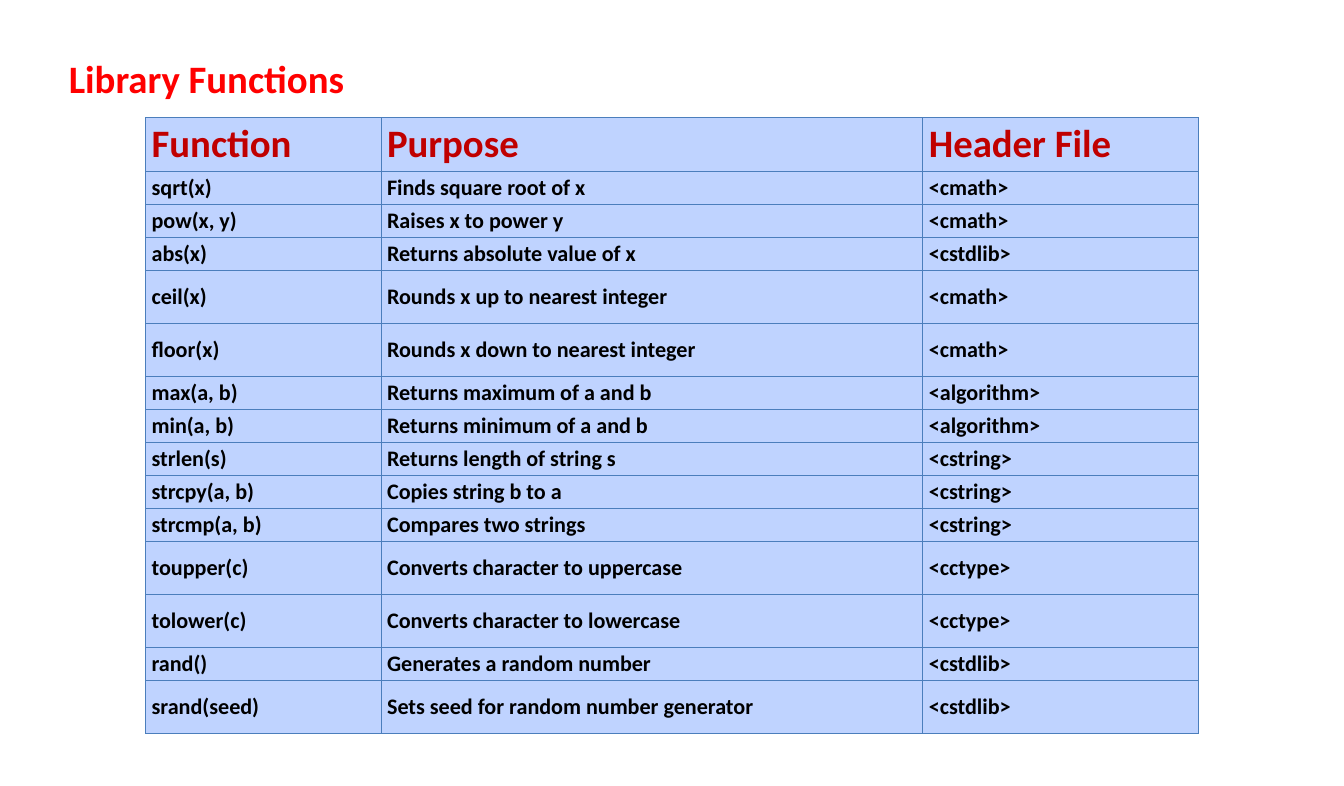
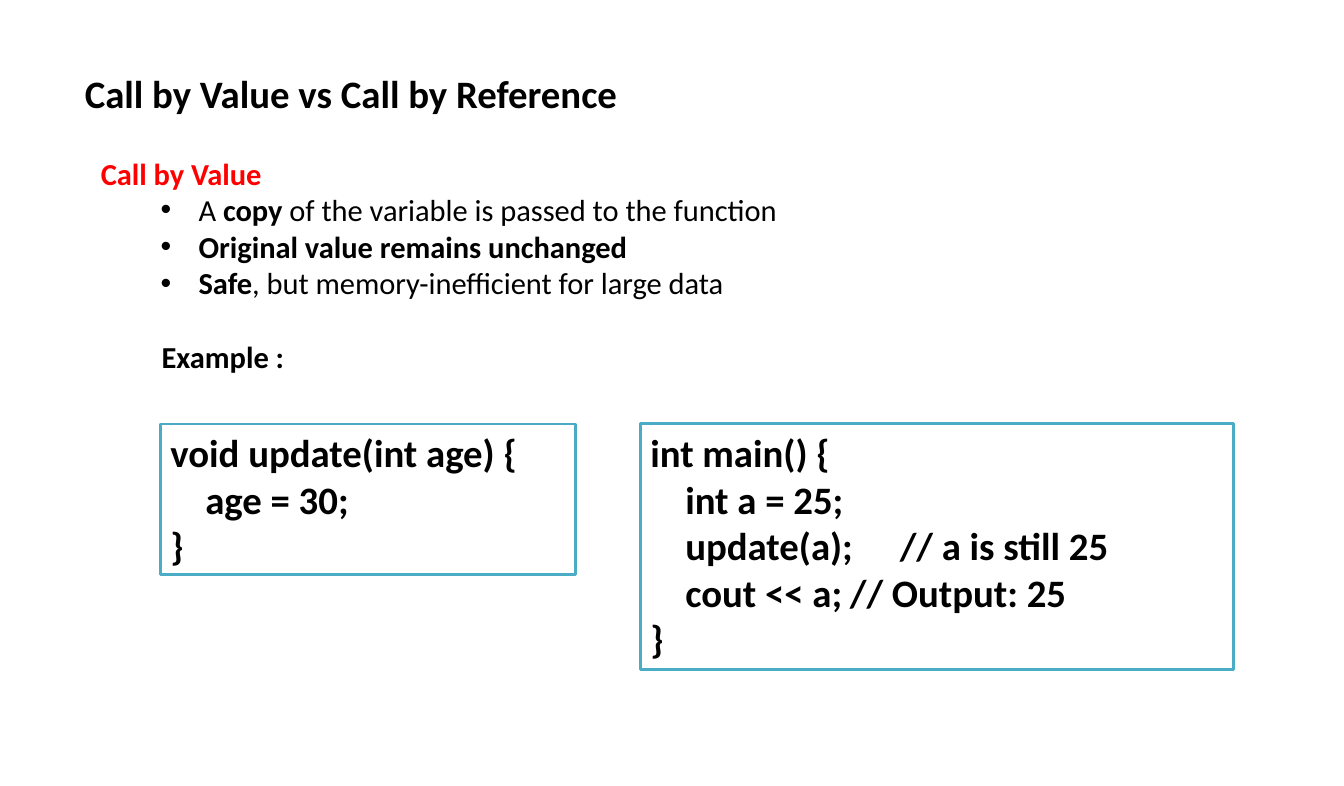
from lxml.etree import SubElement
from pptx import Presentation
from pptx.dml.color import RGBColor
from pptx.enum.shapes import MSO_SHAPE
from pptx.enum.text import MSO_ANCHOR, MSO_AUTO_SIZE, PP_ALIGN
from pptx.oxml import parse_xml
from pptx.oxml.ns import nsdecls, qn
from pptx.util import Emu, Pt

PX = 9144  # EMU per px, 100 px to the inch
BLACK = RGBColor(0x00, 0x00, 0x00)
WHITE = RGBColor(0xFF, 0xFF, 0xFF)
RED = RGBColor(0xFF, 0x00, 0x00)
DARK_RED = RGBColor(0xC0, 0x00, 0x00)
CELL_BLUE = RGBColor(0xBF, 0xD3, 0xFF)
BORDER_BLUE = RGBColor(0x4B, 0x7E, 0xBC)
TEAL = RGBColor(0x4B, 0xAC, 0xC6)

TITLE_ONLY, TITLE_AND_BODY = 5, 1
SHORT_ROW, TALL_ROW = 33, 53
COLUMN_WIDTHS = (236, 543, 276)
FUNCTIONS = [
    ("Function", "Purpose", "Header File"),
    ("sqrt(x)", "Finds square root of x", "<cmath>"),
    ("pow(x, y)", "Raises x to power y", "<cmath>"),
    ("abs(x)", "Returns absolute value of x", "<cstdlib>"),
    ("ceil(x)", "Rounds x up to nearest integer", "<cmath>"),
    ("floor(x)", "Rounds x down to nearest integer", "<cmath>"),
    ("max(a, b)", "Returns maximum of a and b", "<algorithm>"),
    ("min(a, b)", "Returns minimum of a and b", "<algorithm>"),
    ("strlen(s)", "Returns length of string s", "<cstring>"),
    ("strcpy(a, b)", "Copies string b to a", "<cstring>"),
    ("strcmp(a, b)", "Compares two strings", "<cstring>"),
    ("toupper(c)", "Converts character to uppercase", "<cctype>"),
    ("tolower(c)", "Converts character to lowercase", "<cctype>"),
    ("rand()", "Generates a random number", "<cstdlib>"),
    ("srand(seed)", "Sets seed for random number generator", "<cstdlib>"),
]
TALL_ROWS = {0, 4, 5, 11, 12, 14}

# Each point is a list of (text, bold) runs.
POINTS = [
    [("A ", False), ("copy", True), (" of the variable is passed to the function", False)],
    [("Original value remains unchanged", True)],
    [("Safe", True), (", but memory-inefficient for large data", False)],
]
# Each line of code is text, then the position of its tab stop if it has one.
UPDATE_CODE = [("void update(int age) {", None), ("age = 30;", None), ("}", None)]
MAIN_CODE = [
    ("int main() {", None),
    ("int a = 25;", None),
    ("update(a);\t// a is still 25", 265),
    ("cout << a;\t// Output: 25", 254),
    ("}", None),
]


def px(length):
    return Emu(length * PX)


def apply(target, values):
    for name, value in values.items():
        setattr(target, name, value)


def place(shape, left, top, width, height):
    apply(shape, {"left": px(left), "top": px(top), "width": px(width), "height": px(height)})


class Deck:
    font_name = "Calibri"
    large, medium, small = Pt(28), Pt(22), Pt(16)
    frame_format = {
        "word_wrap": True,
        "auto_size": MSO_AUTO_SIZE.NONE,
        "vertical_anchor": MSO_ANCHOR.TOP,
    }
    cell_format = {
        "margin_left": px(6),
        "margin_right": px(6),
        "margin_top": px(3),
        "margin_bottom": px(3),
        "vertical_anchor": MSO_ANCHOR.MIDDLE,
    }

    def __init__(self, width, height):
        self.presentation = Presentation()
        apply(self.presentation, {"slide_width": px(width), "slide_height": px(height)})
        self.slide = None

    def add_slide(self, layout, title, color, box):
        self.slide = self.presentation.slides.add_slide(self.presentation.slide_layouts[layout])
        shape = self.slide.shapes.title
        place(shape, *box)
        apply(shape.text_frame, self.frame_format)
        self.add_text(shape.text_frame.paragraphs[0], [(title, True)], self.large, color)

    def add_text(self, paragraph, runs, size, color=BLACK, margin=0, indent=0, space=0):
        apply(paragraph, {"alignment": PP_ALIGN.LEFT, "space_before": Pt(space)})
        properties = paragraph._p.get_or_add_pPr()
        properties.set("marL", str(px(margin)))
        properties.set("indent", str(px(indent)))
        for text, bold in runs:
            run = paragraph.add_run()
            run.text = text
            apply(run.font, {"name": self.font_name, "size": size, "bold": bold})
            run.font.color.rgb = color

    def set_bullet(self, paragraph, character=None):
        properties = paragraph._p.get_or_add_pPr()
        if character:
            SubElement(properties, qn("a:buFont")).set("typeface", "Arial")
            SubElement(properties, qn("a:buChar")).set("char", character)
        else:
            SubElement(properties, qn("a:buNone"))

    def add_body(self, heading, points, closing, box):
        """Fill the body placeholder with a heading, bullets and a closing line."""
        shape = self.slide.placeholders[1]
        place(shape, *box)
        frame = shape.text_frame
        apply(frame, self.frame_format)
        paragraph = frame.paragraphs[0]
        self.add_text(paragraph, [(heading, True)], self.medium, RED)
        self.set_bullet(paragraph)
        for runs in points:
            paragraph = frame.add_paragraph()
            paragraph.level = 1
            self.add_text(paragraph, runs, self.medium, margin=98, indent=-38)
            self.set_bullet(paragraph, "•")
        paragraph = frame.add_paragraph()
        paragraph.level = 1
        self.add_text(paragraph, [(closing, True)], self.medium, margin=61, space=27)
        self.set_bullet(paragraph)

    def add_code(self, lines, box):
        """Draw a framed listing; all lines but the first and last are indented."""
        shape = self.slide.shapes.add_shape(MSO_SHAPE.RECTANGLE, *map(px, box))
        shape.shadow.inherit = False
        shape.fill.solid()
        shape.fill.fore_color.rgb = WHITE
        shape.line.color.rgb = TEAL
        shape.line.width = Pt(2)
        frame = shape.text_frame
        apply(frame, self.frame_format)
        for number, (text, tab) in enumerate(lines):
            paragraph = frame.add_paragraph() if number else frame.paragraphs[0]
            indent = 35 if 0 < number < len(lines) - 1 else 0
            self.add_text(paragraph, [(text, True)], self.large, indent=indent)
            if tab:
                stops = SubElement(paragraph._p.get_or_add_pPr(), qn("a:tabLst"))
                stop = SubElement(stops, qn("a:tab"))
                stop.set("pos", str(px(tab)))
                stop.set("algn", "l")

    def add_table(self, rows, widths, heights, left, top):
        box = (left, top, sum(widths), sum(heights))
        table = self.slide.shapes.add_table(len(rows), len(widths), *map(px, box)).table
        apply(table, {"first_row": False, "horz_banding": False})
        for column, width in zip(table.columns, widths):
            column.width = px(width)
        for number, (row, height, texts) in enumerate(zip(table.rows, heights, rows)):
            row.height = px(height)
            size, color = (self.small, BLACK) if number else (self.large, DARK_RED)
            for cell, text in zip(row.cells, texts):
                apply(cell, self.cell_format)
                self.add_borders(cell)
                cell.fill.solid()
                cell.fill.fore_color.rgb = CELL_BLUE
                self.add_text(cell.text_frame.paragraphs[0], [(text, True)], size, color)

    def add_borders(self, cell):
        properties = cell._tc.get_or_add_tcPr()
        for side in "LRTB":
            properties.append(parse_xml(
                f'<a:ln{side} {nsdecls("a")} w="{Pt(0.75)}"><a:solidFill>'
                f'<a:srgbClr val="{BORDER_BLUE}"/></a:solidFill></a:ln{side}>'
            ))


def main():
    deck = Deck(1347, 788)

    deck.add_slide(TITLE_ONLY, "Library Functions", RED, (59, 50, 505, 57))
    heights = [TALL_ROW if row in TALL_ROWS else SHORT_ROW for row in range(len(FUNCTIONS))]
    deck.add_table(FUNCTIONS, COLUMN_WIDTHS, heights, 146, 118)

    deck.add_slide(TITLE_AND_BODY, "Call by Value vs Call by Reference", BLACK, (75, 65, 1134, 57))
    deck.add_body("Call by Value", POINTS, "Example :", (91, 150, 740, 232))
    deck.add_code(UPDATE_CODE, (161, 425, 416, 151))
    deck.add_code(MAIN_CODE, (642, 425, 594, 246))

    deck.presentation.save("out.pptx")


if __name__ == "__main__":
    main()
